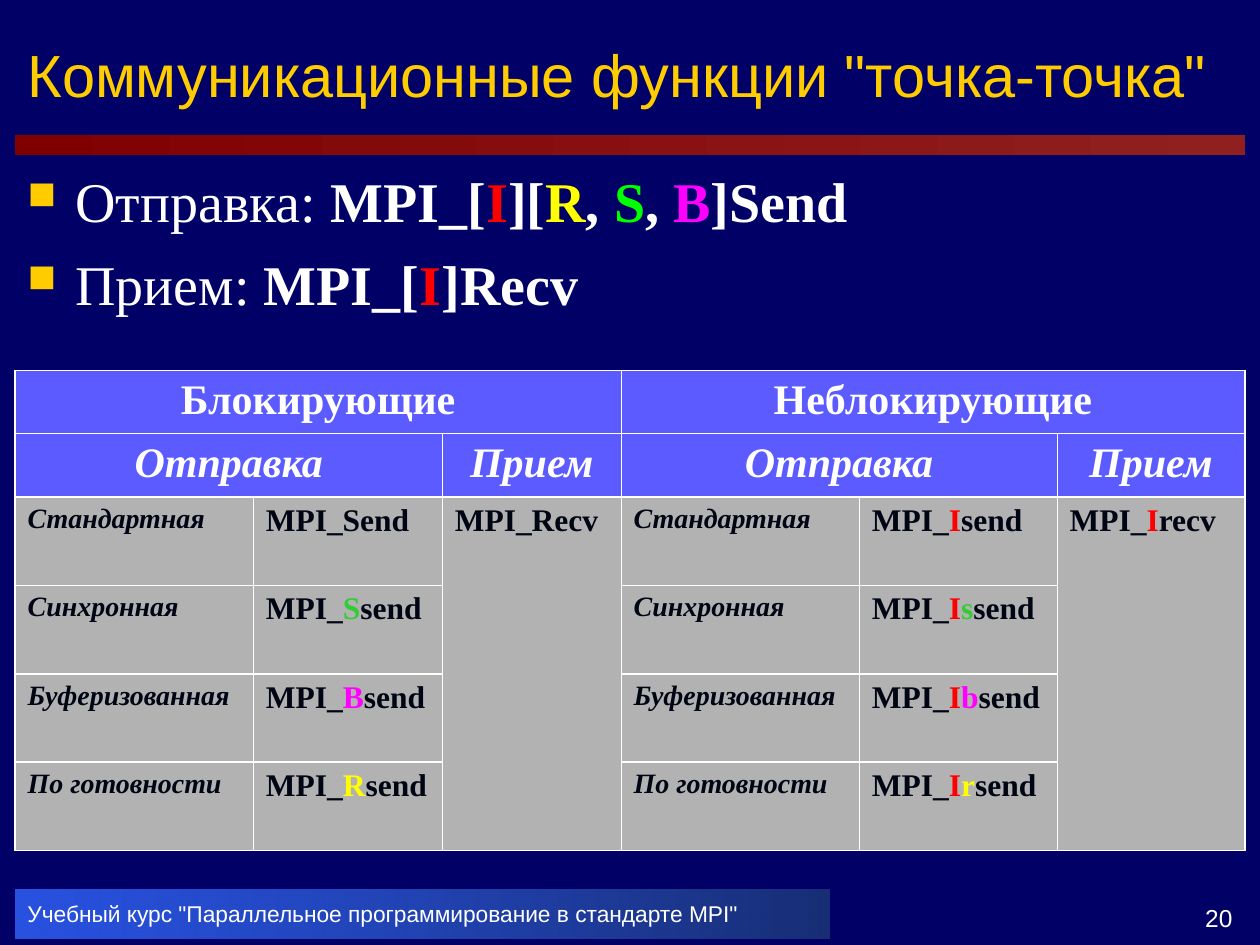
"""Builds the slide on MPI point-to-point communication functions."""
from dataclasses import dataclass
from typing import Optional

from lxml import etree
from pptx import Presentation
from pptx import util as u
from pptx.dml.color import RGBColor
from pptx.enum import shapes, text
from pptx.oxml.ns import qn


@dataclass(frozen=True)
class Theme:
    back: str = "000066"
    light: str = "FFFFFF"
    dark: str = "000514"
    accent: str = "FFCC00"
    header: str = "5B5BFF"
    body: str = "B2B2B2"
    instant: str = "FF0000"
    ready: str = "FFFF00"
    sync: str = "00FF00"
    sync_cell: str = "33CC33"
    buffered: str = "FF00FF"
    rule: tuple = ("800000", "902020")
    footer: tuple = ("3366FF", "182F76")
    sans: str = "Arial"
    serif: str = "Times New Roman"
    title_size: int = 34
    bullet_size: int = 32
    head_size: int = 24
    code_size: int = 18
    mode_size: int = 16
    number_size: int = 14
    footer_size: int = 13
    thick: float = 1.08
    thin: float = 0.45


@dataclass(frozen=True)
class Area:
    """Position and size in percent of the slide."""
    left: float
    top: float
    width: float
    height: float


@dataclass(frozen=True)
class Style:
    size: int
    color: str
    face: str
    bold: Optional[bool] = None
    italic: Optional[bool] = None
    align: text.PP_ALIGN = text.PP_ALIGN.LEFT


@dataclass(frozen=True)
class Span:
    words: str
    color: Optional[str] = None
    bold: Optional[bool] = None


@dataclass(frozen=True)
class Entry:
    """One table cell with its place in the grid."""
    row: int
    column: int
    spans: tuple
    style: Style
    fill: str
    rows: int = 1
    columns: int = 1


THEME = Theme()
WIDTH, HEIGHT = u.Inches(10), u.Inches(7.5)
LEFT, FULL = 1.2, 97.6
COLUMNS = (18.9, 15, 14.2, 18.9, 15.7, 14.9)
ROWS = (6.7, 6.7, 9.35, 9.35, 9.35, 9.35)
HEAD = Style(THEME.head_size, THEME.light, THEME.serif, True, False, text.PP_ALIGN.CENTER)
SUBHEAD = Style(THEME.head_size, THEME.light, THEME.serif, True, True, text.PP_ALIGN.CENTER)
MODE = Style(THEME.mode_size, THEME.dark, THEME.serif, True, True)
CODE = Style(THEME.code_size, THEME.dark, THEME.serif, True, False)
MODES = (("Стандартная", "", None), ("Синхронная", "S", THEME.sync_cell),
         ("Буферизованная", "B", THEME.buffered), ("По готовности", "R", THEME.ready))
INSTANT = Span("I", THEME.instant)
BULLETS = (
    (Span("Отправка: ", bold=False), Span("MPI_["), INSTANT, Span("]["),
     Span("R", THEME.ready), Span(", "), Span("S", THEME.sync), Span(", "),
     Span("B", THEME.buffered), Span("]Send")),
    (Span("Прием: ", bold=False), Span("MPI_["), INSTANT, Span("]Recv")),
)


def across(percent: float) -> int:
    return int(WIDTH * percent / 100)


def down(percent: float) -> int:
    return int(HEIGHT * percent / 100)


def place(area: Area) -> tuple:
    return across(area.left), down(area.top), across(area.width), down(area.height)


def write(para, spans: tuple, style: Style) -> None:
    para.alignment = style.align
    font = para.font
    font.size, font.name = u.Pt(style.size), style.face
    font.bold, font.italic = style.bold, style.italic
    font.color.rgb = RGBColor.from_string(style.color)
    for span in spans:
        run = para.add_run()
        run.text = span.words
        if span.color:
            run.font.color.rgb = RGBColor.from_string(span.color)
        if span.bold is not None:
            run.font.bold = span.bold


def add_text(page, area: Area, words: str, style: Style, anchor: text.MSO_ANCHOR) -> None:
    box = page.shapes.add_textbox(*place(area))
    box.text_frame.word_wrap = True
    box.text_frame.vertical_anchor = anchor
    write(box.text_frame.paragraphs[0], (Span(words),), style)


def add_band(page, area: Area, colors: tuple):
    band = page.shapes.add_shape(shapes.MSO_SHAPE.RECTANGLE, *place(area))
    band.shadow.inherit = False
    band.line.fill.background()
    band.fill.gradient()
    band.fill.gradient_angle = 0
    for stop, color in zip(band.fill.gradient_stops, colors):
        stop.color.rgb = RGBColor.from_string(color)
    return band


def add_footer(page, area: Area, words: str) -> None:
    band = add_band(page, area, THEME.footer)
    first_color = next(band.fill._xPr.iter(qn("a:srgbClr")))
    etree.SubElement(first_color, qn("a:alpha"), val="80000")
    band.text_frame.word_wrap = True
    band.text_frame.vertical_anchor = text.MSO_ANCHOR.MIDDLE
    style = Style(THEME.footer_size, THEME.light, THEME.sans)
    write(band.text_frame.paragraphs[0], (Span(words),), style)


def add_bullets(page, area: Area) -> None:
    frame = page.shapes.add_textbox(*place(area)).text_frame
    frame.word_wrap = True
    style = Style(THEME.bullet_size, THEME.light, THEME.serif, True)
    for index, spans in enumerate(BULLETS):
        para = frame.add_paragraph() if index else frame.paragraphs[0]
        if index:
            para.space_before = u.Pt(9)
        props = para._p.get_or_add_pPr()
        props.set("marL", str(u.Inches(0.38)))
        props.set("indent", str(-u.Inches(0.38)))
        color = etree.SubElement(props, qn("a:buClr"))
        etree.SubElement(color, qn("a:srgbClr"), val=THEME.accent)
        etree.SubElement(props, qn("a:buSzPct"), val="70000")
        etree.SubElement(props, qn("a:buChar"), char="■")
        write(para, spans, style)


def draw_borders(cell, entry: Entry) -> None:
    outer = {"L": entry.column == 0, "R": entry.column + entry.columns == len(COLUMNS),
             "T": entry.row != 1, "B": entry.row != 0}
    props = cell._tc.get_or_add_tcPr()
    for index, side in enumerate("LRTB"):
        width = u.Pt(THEME.thick if outer[side] else THEME.thin)
        line = etree.Element(qn(f"a:ln{side}"), w=str(width))
        fill = etree.SubElement(line, qn("a:solidFill"))
        etree.SubElement(fill, qn("a:srgbClr"), val=THEME.light)
        props.insert(index, line)


def list_entries() -> list:
    entries = []
    for column, name, instant in ((0, "Блокирующие", ()), (3, "Неблокирующие", (INSTANT,))):
        entries += [
            Entry(0, column, (Span(name),), HEAD, THEME.header, columns=3),
            Entry(1, column, (Span("Отправка"),), SUBHEAD, THEME.header, columns=2),
            Entry(1, column + 2, (Span("Прием"),), SUBHEAD, THEME.header),
            Entry(2, column + 2, (Span("MPI_"), *instant, Span("recv" if instant else "Recv")),
                  CODE, THEME.body, rows=4)]
        for row, (mode, letter, color) in enumerate(MODES, 2):
            mark = (Span(letter.lower() if instant else letter, color),) if letter else ()
            verb = Span("send" if instant or letter else "Send")
            entries += [
                Entry(row, column, (Span(mode),), MODE, THEME.body),
                Entry(row, column + 1, (Span("MPI_"), *instant, *mark, verb), CODE, THEME.body)]
    return entries


def add_functions(page, area: Area) -> None:
    table = page.shapes.add_table(len(ROWS), len(COLUMNS), *place(area)).table
    table.first_row = table.horz_banding = False
    for column, width in zip(table.columns, COLUMNS):
        column.width = across(width)
    for row, height in zip(table.rows, ROWS):
        row.height = down(height)
    for entry in list_entries():
        cell = table.cell(entry.row, entry.column)
        if entry.rows * entry.columns > 1:
            cell.merge(table.cell(entry.row + entry.rows - 1, entry.column + entry.columns - 1))
        cell.fill.solid()
        cell.fill.fore_color.rgb = RGBColor.from_string(entry.fill)
        draw_borders(cell, entry)
        write(cell.text_frame.paragraphs[0], entry.spans, entry.style)


def main() -> None:
    deck = Presentation()
    deck.slide_width, deck.slide_height = WIDTH, HEIGHT
    page = deck.slides.add_slide(deck.slide_layouts[6])
    page.background.fill.solid()
    page.background.fill.fore_color.rgb = RGBColor.from_string(THEME.back)
    add_band(page, Area(LEFT, 14.3, FULL, 2.1), THEME.rule)
    add_text(page, Area(88.6, 94.1, 10.2, 5.2), "20",
             Style(THEME.number_size, THEME.light, THEME.sans, align=text.PP_ALIGN.RIGHT),
             text.MSO_ANCHOR.BOTTOM)
    add_footer(page, Area(LEFT, 94.1, 64.6, 5.2),
               'Учебный курс "Параллельное программирование в стандарте MPI"')
    add_text(page, Area(LEFT, 1.2, FULL, 13.1), 'Коммуникационные функции "точка-точка"',
             Style(THEME.title_size, THEME.accent, THEME.sans), text.MSO_ANCHOR.MIDDLE)
    add_functions(page, Area(LEFT, 39.2, FULL, sum(ROWS)))
    add_bullets(page, Area(LEFT, 17, FULL, 17.3))
    deck.save("out.pptx")


if __name__ == "__main__":
    main()
